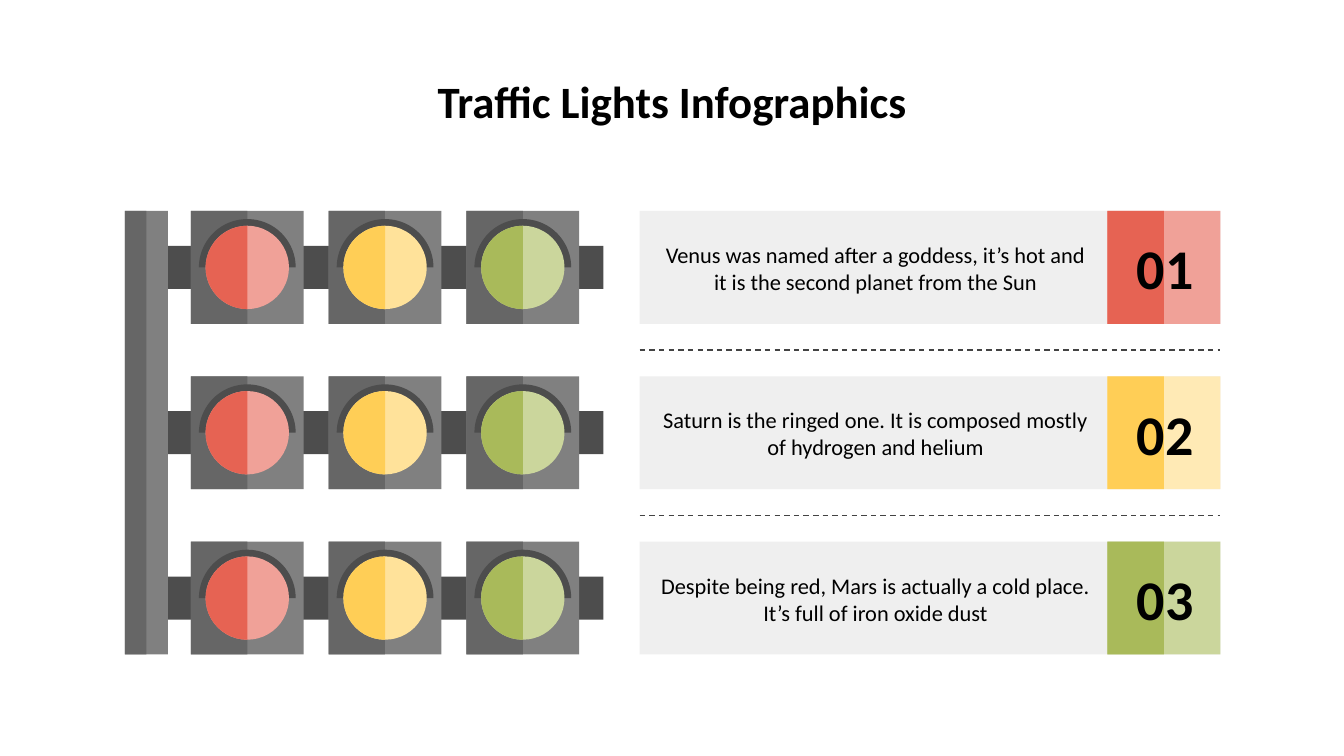
from lxml.etree import SubElement
from pptx import Presentation
from pptx.dml.color import RGBColor
from pptx.enum.dml import MSO_LINE
from pptx.enum.shapes import MSO_CONNECTOR, MSO_SHAPE
from pptx.enum.text import MSO_ANCHOR, MSO_AUTO_SIZE, PP_ALIGN
from pptx.oxml.ns import qn
from pptx.util import Inches, Pt

BLACK = RGBColor(0x00, 0x00, 0x00)
CHARCOAL = RGBColor(0x4D, 0x4D, 0x4D)
DARK_GRAY = RGBColor(0x66, 0x66, 0x66)
GRAY = RGBColor(0x80, 0x80, 0x80)
PANEL = RGBColor(0xEF, 0xEF, 0xEF)
DASH = RGBColor(0x43, 0x43, 0x43)
RED, LIGHT_RED = RGBColor(0xE6, 0x63, 0x53), RGBColor(0xF0, 0xA1, 0x98)
YELLOW, LIGHT_YELLOW = RGBColor(0xFF, 0xCE, 0x56), RGBColor(0xFF, 0xE2, 0x9A)
PALE_YELLOW = RGBColor(0xFF, 0xEA, 0xB5)
GREEN, LIGHT_GREEN = RGBColor(0xA9, 0xBA, 0x5A), RGBColor(0xCB, 0xD6, 0x9C)

FONT = "Calibri"
SLIDE_WIDTH = Inches(10)
SLIDE_HEIGHT = SLIDE_WIDTH * 9 // 16
TOP, ROW_STEP = 1.57, 1.23
LAMP_LEFT, LAMP_STEP = 1.42, 1.025
BOX = 0.84  # side of a lamp housing and of a number tile
POLE_LEFT, POLE_WIDTH = 0.93, 0.32
ARM_LEFT, ARM_WIDTH, ARM_HEIGHT = 1.22, 3.27, 0.32
HOOD, LAMP = 0.72, 0.62  # diameters
PANEL_LEFT, PANEL_WIDTH = 4.76, 4.32
TILE_LEFT = PANEL_LEFT + PANEL_WIDTH - BOX

LAMPS = [(RED, LIGHT_RED), (YELLOW, LIGHT_YELLOW), (GREEN, LIGHT_GREEN)]
ROWS = [
    ("01", "Venus was named after a goddess, it’s hot and it is the second planet from the Sun",
     RED, LIGHT_RED),
    ("02", "Saturn is the ringed one. It is composed mostly of hydrogen and helium",
     YELLOW, PALE_YELLOW),
    ("03", "Despite being red, Mars is actually a cold place. It’s full of iron oxide dust",
     GREEN, LIGHT_GREEN),
]


def add_filled(shapes, kind, left, top, width, height, color):
    s = shapes.add_shape(kind, Inches(left), Inches(top), Inches(width), Inches(height))
    s.shadow.inherit = False
    s.fill.solid()
    s.fill.fore_color.rgb = color
    s.line.fill.background()
    return s


def add_split_rect(shapes, left, top, width, height, dark, light):
    """Rectangle in the light colour with its left half in the dark one."""
    add_filled(shapes, MSO_SHAPE.RECTANGLE, left, top, width, height, light)
    add_filled(shapes, MSO_SHAPE.RECTANGLE, left, top, width / 2, height, dark)


def add_half_disc(shapes, cx, cy, diameter, start, end, color):
    """Half of a disc, clockwise from start to end in degrees."""
    s = add_filled(shapes, MSO_SHAPE.CHORD, cx - diameter / 2, cy - diameter / 2,
                   diameter, diameter, color)
    s.adjustments[0] = start * 0.6  # 60000 units a degree, scaled by 100000
    s.adjustments[1] = end * 0.6


def add_lamp(shapes, left, top, dark, light):
    cx, cy = left + BOX / 2, top + BOX / 2
    add_split_rect(shapes, left, top, BOX, BOX, DARK_GRAY, GRAY)
    add_half_disc(shapes, cx, cy, HOOD, 180, 0, CHARCOAL)
    add_filled(shapes, MSO_SHAPE.OVAL, cx - LAMP / 2, cy - LAMP / 2, LAMP, LAMP, light)
    add_half_disc(shapes, cx, cy, LAMP, 90, 270, dark)


def add_traffic_lights(slide):
    shapes = slide.shapes.add_group_shape().shapes
    for row in range(len(ROWS)):
        top = TOP + row * ROW_STEP
        add_filled(shapes, MSO_SHAPE.RECTANGLE, ARM_LEFT, top + (BOX - ARM_HEIGHT) / 2,
                   ARM_WIDTH, ARM_HEIGHT, CHARCOAL)
        for col, (dark, light) in enumerate(LAMPS):
            add_lamp(shapes, LAMP_LEFT + col * LAMP_STEP, top, dark, light)
    pole_height = (len(ROWS) - 1) * ROW_STEP + BOX
    add_split_rect(shapes, POLE_LEFT, TOP, POLE_WIDTH, pole_height, DARK_GRAY, GRAY)


def write(tf, text, size, bold, anchor, inset):
    tf.word_wrap = True
    tf.auto_size = MSO_AUTO_SIZE.NONE
    tf.vertical_anchor = anchor
    tf.margin_left = tf.margin_right = tf.margin_top = tf.margin_bottom = Inches(inset)
    p = tf.paragraphs[0]
    p.alignment = PP_ALIGN.CENTER
    r = p.add_run()
    r.text = text
    r.font.name = FONT
    r.font.size = Pt(size)
    r.font.bold = bold
    r.font.color.rgb = BLACK


def add_text(slide, left, top, width, height, text, size, bold=False, inset=0):
    s = slide.shapes.add_textbox(Inches(left), Inches(top), Inches(width), Inches(height))
    write(s.text_frame, text, size, bold, MSO_ANCHOR.MIDDLE, inset)


def add_divider(slide, y):
    s = slide.shapes.add_connector(MSO_CONNECTOR.STRAIGHT, Inches(PANEL_LEFT), Inches(y),
                                   Inches(PANEL_LEFT + PANEL_WIDTH), Inches(y))
    s.line.color.rgb = DASH
    s.line.width = Pt(0.75)
    s.line.dash_style = MSO_LINE.DASH
    SubElement(s._element.spPr, qn("a:effectLst"))


def add_panel(slide, top, number, text, dark, light):
    add_filled(slide.shapes, MSO_SHAPE.RECTANGLE, PANEL_LEFT, top, PANEL_WIDTH, BOX, PANEL)
    tile = slide.shapes.add_group_shape()
    add_split_rect(tile.shapes, TILE_LEFT, top, BOX, BOX, dark, light)
    add_text(slide, PANEL_LEFT + 0.15, top + 0.12, 3.21, 0.61, text, 12)
    add_text(slide, TILE_LEFT + 0.01, top + 0.23, BOX, 0.38, number, 30, bold=True, inset=0.1)


def add_title(slide, text):
    s = slide.shapes.title
    s.left, s.top, s.width, s.height = Inches(0.5), Inches(0.45), Inches(9), Inches(0.44)
    write(s.text_frame, text, 24, True, MSO_ANCHOR.TOP, 0.1)


def main():
    prs = Presentation()
    prs.slide_width, prs.slide_height = SLIDE_WIDTH, SLIDE_HEIGHT
    slide = prs.slides.add_slide(prs.slide_layouts[5])
    add_title(slide, "Traffic Lights Infographics")
    add_traffic_lights(slide)
    for row, content in enumerate(ROWS):
        top = TOP + row * ROW_STEP
        add_panel(slide, top, *content)
        if row:
            add_divider(slide, top - (ROW_STEP - BOX) / 2)
    prs.save("out.pptx")


if __name__ == "__main__":
    main()
